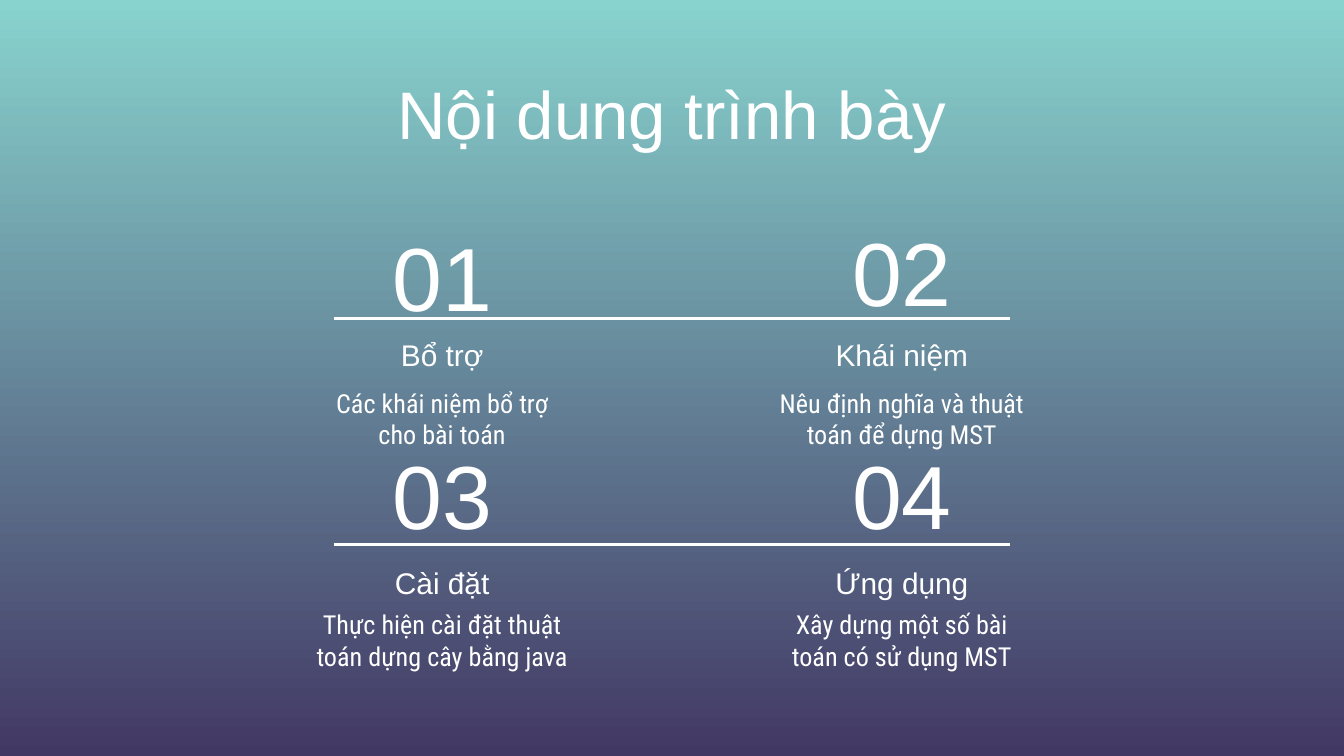
from dataclasses import dataclass

from lxml import etree
from pptx import Presentation
from pptx import util as u
from pptx.dml.color import RGBColor
from pptx.enum import shapes, text
from pptx.oxml.ns import qn


@dataclass(frozen=True)
class Theme:
    top: str = "88D3CE"
    bottom: str = "423864"
    ink: str = "FFFFFF"
    heading_font: str = "Arial"
    body_font: str = "Roboto Condensed"
    title_size: int = 36
    number_size: int = 48
    heading_size: int = 16
    body_size: int = 14
    rule_width: float = 1.5
    inset: float = 0.1


THEME = Theme()
WIDTH = 10
HEIGHT = WIDTH * 9 / 16
TITLE = "Nội dung trình bày"
TOPICS = [
    [("01", "Bổ trợ", "Các khái niệm bổ trợ cho bài toán"),
     ("02", "Khái niệm", "Nêu định nghĩa và thuật toán để dựng MST")],
    [("03", "Cài đặt", "Thực hiện cài đặt thuật toán dựng cây bằng java"),
     ("04", "Ứng dụng", "Xây dựng một số bài toán có sử dụng MST")],
]
ROWS = [
    {"numbers": (1.74, 1.7), "rule": 2.37, "heading": 2.24, "body": 2.78},
    {"numbers": (3.36, 3.36), "rule": 4.05, "heading": 3.94, "body": 4.43},
]
COLUMN_CENTRES = [WIDTH / 2 - 1.71, WIDTH / 2 + 1.71]
RULE_LENGTH = 5.03
TOP, MIDDLE, BOTTOM = (text.MSO_ANCHOR.TOP, text.MSO_ANCHOR.MIDDLE,
                       text.MSO_ANCHOR.BOTTOM)


def write(shape, words, centre, top, width, height, size, font, anchor):
    shape.left, shape.top = u.Inches(centre - width / 2), u.Inches(top)
    shape.width, shape.height = u.Inches(width), u.Inches(height)
    frame = shape.text_frame
    frame.text = words
    frame.word_wrap = True
    frame.auto_size = text.MSO_AUTO_SIZE.NONE
    frame.vertical_anchor = anchor
    frame.margin_left = frame.margin_right = u.Inches(THEME.inset)
    frame.margin_top = frame.margin_bottom = u.Inches(THEME.inset)
    paragraph = frame.paragraphs[0]
    paragraph.alignment = text.PP_ALIGN.CENTER
    run_font = paragraph.runs[0].font
    run_font.name, run_font.size = font, u.Pt(size)
    run_font.color.rgb = RGBColor.from_string(THEME.ink)


def add_text(slide, *details):
    write(slide.shapes.add_textbox(0, 0, 0, 0), *details)


def add_rule(slide, top):
    left = (WIDTH - RULE_LENGTH) / 2
    rule = slide.shapes.add_connector(
        shapes.MSO_CONNECTOR.STRAIGHT, u.Inches(left), u.Inches(top),
        u.Inches(left + RULE_LENGTH), u.Inches(top))
    rule.line.color.rgb = RGBColor.from_string(THEME.ink)
    rule.line.width = u.Pt(THEME.rule_width)
    etree.SubElement(rule._element.spPr, qn("a:effectLst"))


def paint_background(slide):
    fill = slide.background.fill
    fill.gradient()
    fill.gradient_angle = 270
    for stop, position, colour in zip(fill.gradient_stops, (0, 1),
                                      (THEME.top, THEME.bottom)):
        stop.position = position
        stop.color.rgb = RGBColor.from_string(colour)


def main():
    presentation = Presentation()
    presentation.slide_width = u.Inches(WIDTH)
    presentation.slide_height = u.Inches(HEIGHT)
    slide = presentation.slides.add_slide(presentation.slide_layouts[5])
    paint_background(slide)
    write(slide.shapes.title, TITLE, WIDTH / 2, 0.44, 7.55, 1.03,
          THEME.title_size, THEME.heading_font, TOP)
    for row, topics in zip(ROWS, TOPICS):
        for centre, number_top, (number, heading, body) in zip(
                COLUMN_CENTRES, row["numbers"], topics):
            add_text(slide, number, centre, number_top, 1.92, 0.63,
                     THEME.number_size, THEME.heading_font, MIDDLE)
            add_text(slide, heading, centre, row["heading"], 2.88, 0.63,
                     THEME.heading_size, THEME.heading_font, BOTTOM)
            add_text(slide, body, centre, row["body"], 2.08, 0.4,
                     THEME.body_size, THEME.body_font, TOP)
        add_rule(slide, row["rule"])
    presentation.save("out.pptx")


if __name__ == "__main__":
    main()
